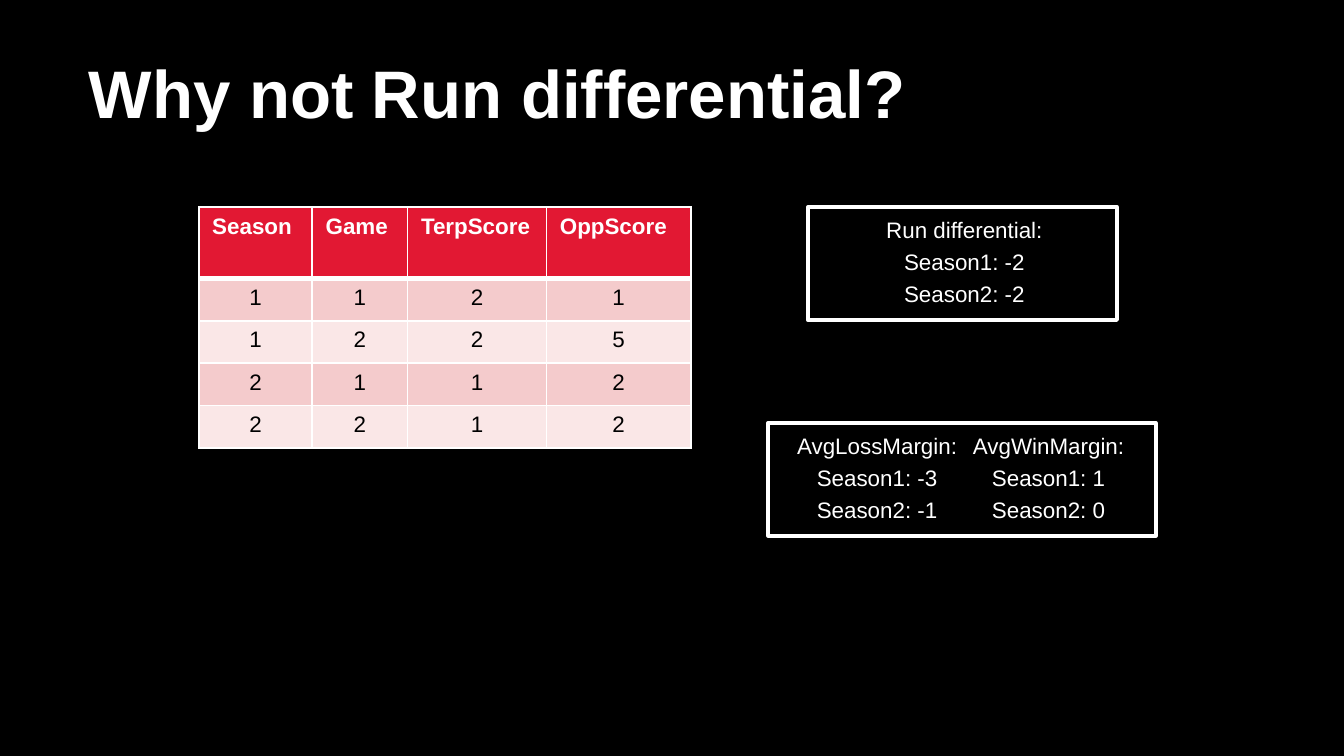
from pptx import Presentation
from pptx.dml.color import RGBColor
from pptx.enum.shapes import MSO_SHAPE as Shape
from pptx.enum.text import MSO_ANCHOR as Anchor, PP_ALIGN as Align
from pptx.oxml.ns import qn
from pptx.util import Pt
from lxml.etree import SubElement

WHITE, BLACK, RED = "FFFFFF", "000000", "E21833"
BAND_FILLS = ("F4CBCC", "FAE7E7")
FONT = "Arial"
BORDER_TAGS = ("a:lnL", "a:lnR", "a:lnT", "a:lnB")

SCORES = [
    ("Season", "Game", "TerpScore", "OppScore"),
    (1, 1, 2, 1),
    (1, 2, 2, 5),
    (2, 1, 1, 2),
    (2, 2, 1, 2),
]
COLUMN_WIDTHS = (60.8, 51.1, 74.4, 77.4)
HEADER_HEIGHT, ROW_HEIGHT = 38.2, 22.7
PANEL_HEIGHT = 60.5


def color(hex_code):
    return RGBColor.from_string(hex_code)


def add_run(paragraph, text, size, hex_code, bold=False):
    run = paragraph.add_run()
    run.text = text
    run.font.name = FONT
    run.font.size = Pt(size)
    run.font.bold = bold
    run.font.color.rgb = color(hex_code)


def add_text_frame(slide, left, top, width, height, insets):
    box = slide.shapes.add_textbox(Pt(left), Pt(top), Pt(width), Pt(height))
    frame = box.text_frame
    frame.word_wrap = True
    frame.vertical_anchor = Anchor.MIDDLE
    (frame.margin_left, frame.margin_top,
     frame.margin_right, frame.margin_bottom) = map(Pt, insets)
    return frame


def add_title(slide, text):
    frame = add_text_frame(slide, 47.5, 24.5, 660, 49, (0, 0, 0, 0))
    add_run(frame.paragraphs[0], text, 36, WHITE, bold=True)


def add_outline(slide, left, top, width):
    outline = slide.shapes.add_shape(
        Shape.RECTANGLE, Pt(left), Pt(top), Pt(width), Pt(PANEL_HEIGHT))
    outline.shadow.inherit = False
    outline.fill.background()
    outline.line.color.rgb = color(WHITE)
    outline.line.width = Pt(2)


def add_stats(slide, left, top, width, lines):
    frame = add_text_frame(slide, left, top, width, PANEL_HEIGHT,
                           (3.6, 1.4, 1.4, 1.4))
    for index, line in enumerate(lines):
        paragraph = frame.add_paragraph() if index else frame.paragraphs[0]
        paragraph.alignment = Align.CENTER
        paragraph.line_spacing = 0.9
        if index:
            paragraph.space_before = Pt(4.2)
        add_run(paragraph, line, 12, WHITE)


def set_borders(cell, widths):
    properties = cell._tc.get_or_add_tcPr()
    for position, (tag, width) in enumerate(zip(BORDER_TAGS, widths)):
        border = properties.makeelement(qn(tag), w=str(Pt(width)))
        fill = SubElement(border, qn("a:solidFill"))
        SubElement(fill, qn("a:srgbClr"), val=WHITE)
        properties.insert(position, border)


def add_score_table(slide, left, top):
    height = HEADER_HEIGHT + ROW_HEIGHT * (len(SCORES) - 1)
    table = slide.shapes.add_table(
        len(SCORES), len(COLUMN_WIDTHS), Pt(left), Pt(top),
        Pt(sum(COLUMN_WIDTHS)), Pt(height)).table
    for column, width in zip(table.columns, COLUMN_WIDTHS):
        column.width = Pt(width)
    for row_index, values in enumerate(SCORES):
        is_header = row_index == 0
        table.rows[row_index].height = Pt(HEADER_HEIGHT if is_header else ROW_HEIGHT)
        for column_index, value in enumerate(values):
            cell = table.cell(row_index, column_index)
            cell.fill.solid()
            cell.fill.fore_color.rgb = color(
                RED if is_header else BAND_FILLS[(row_index - 1) % 2])
            # The rule under the header is heavier than the rest
            set_borders(cell, (1, 1, 3 if row_index == 1 else 1, 3 if is_header else 1))
            paragraph = cell.text_frame.paragraphs[0]
            paragraph.alignment = Align.LEFT if is_header else Align.CENTER
            add_run(paragraph, str(value), 12, WHITE if is_header else BLACK, is_header)


def main():
    deck = Presentation()
    deck.slide_width, deck.slide_height = Pt(720), Pt(405)
    slide = deck.slides.add_slide(deck.slide_layouts[6])
    slide.background.fill.solid()
    slide.background.fill.fore_color.rgb = color(BLACK)

    add_title(slide, "Why not Run differential?")

    # Run differential panel
    add_outline(slide, 432.8, 111, 165.6)
    add_stats(slide, 432.8, 111, 165.6,
              ("Run differential:", "Season1: -2", "Season2: -2"))

    # Average margin panel, two columns of text
    add_outline(slide, 411.6, 226.6, 207.6)
    add_stats(slide, 411.6, 226.6, 114.5,
              ("AvgLossMargin:", "Season1: -3", "Season2: -1"))
    add_stats(slide, 507, 226.6, 107.3,
              ("AvgWinMargin:", "Season1: 1", "Season2: 0"))

    # Game scores
    add_score_table(slide, 106.5, 111)

    deck.save("out.pptx")


if __name__ == "__main__":
    main()
